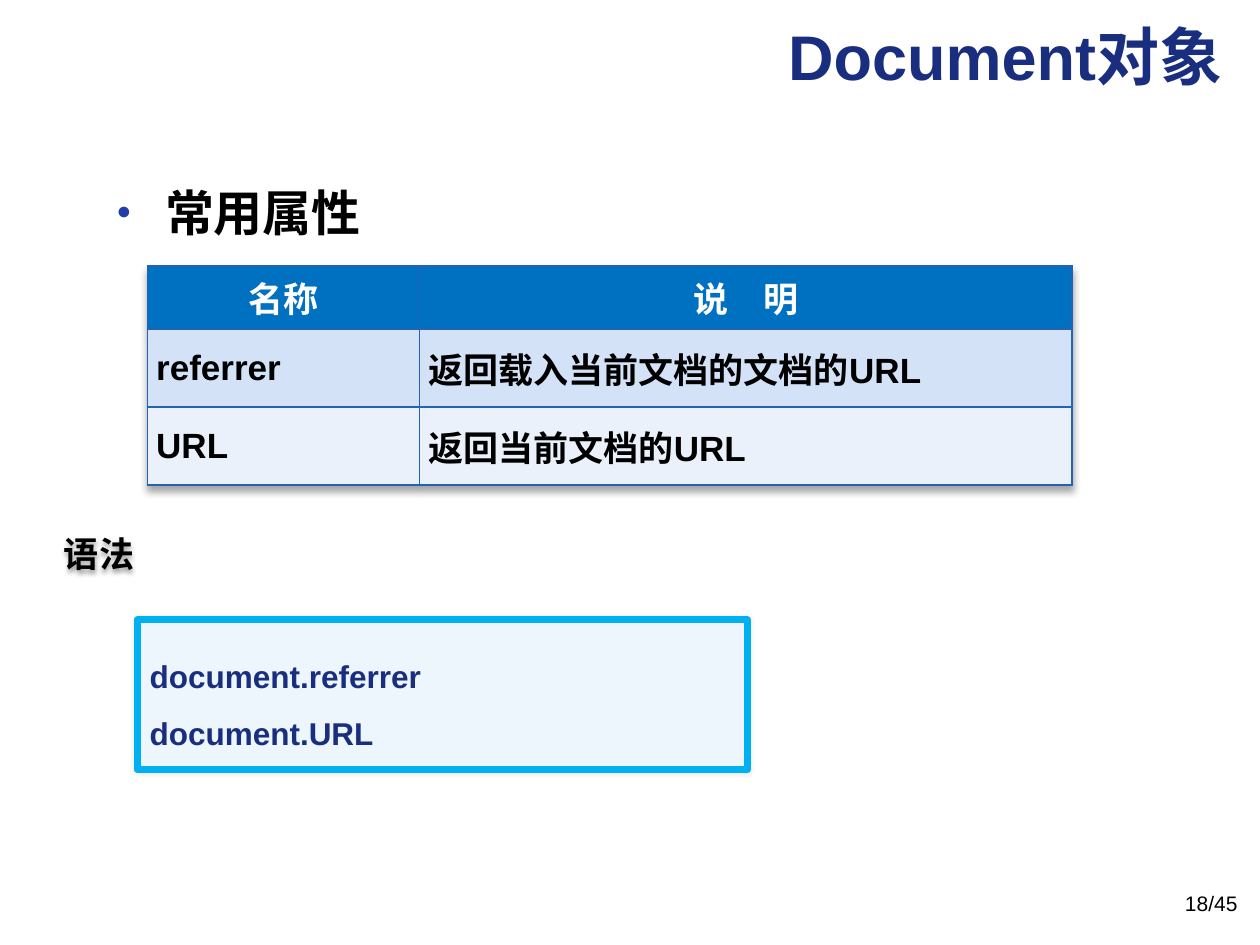
import dataclasses

import pptx
import pptx.dml.color
import pptx.enum.shapes
import pptx.enum.text
import pptx.oxml
import pptx.oxml.ns
import pptx.util

ALIGN = pptx.enum.text.PP_ALIGN
ANCHOR = pptx.enum.text.MSO_ANCHOR
COLUMNS, ROWS = 100, 75  # layout grid


@dataclasses.dataclass(frozen=True)
class Theme:
    latin: str = "Arial"
    asian: str = "Noto Sans CJK SC"
    navy: str = "1A2E7F"
    black: str = "000000"
    white: str = "FFFFFF"
    bullet: str = "233DA9"
    header: str = "0070C0"
    bands: tuple = ("D3E2F7", "EAF1FB")
    border: str = "2163B4"
    code_fill: str = "EDF5FD"
    code_line: str = "00B0F0"
    title_size: int = 36
    list_size: int = 28
    text_size: int = 20
    code_size: int = 18
    note_size: int = 12


def color(value):
    return pptx.dml.color.RGBColor.from_string(value)


def add_xml(parent, markup, index=None):
    """Add a DrawingML element, given without its namespace declaration."""
    head, rest = markup.split(" ", 1)
    element = pptx.oxml.parse_xml(f"{head} {pptx.oxml.ns.nsdecls('a')} {rest}")
    parent.insert(len(parent) if index is None else index, element)


def write(para, text, *, font, asian, size, ink, bold=True, align=None,
          spacing=None):
    """Put formatted text into a paragraph."""
    para.alignment = align
    para.line_spacing = spacing
    span = para.add_run()
    span.text = text
    span.font.name = font
    span.font.size = pptx.util.Pt(size)
    span.font.bold = bold
    span.font.color.rgb = color(ink)
    add_xml(span.font._element, f'<a:ea typeface="{asian}"/>')


class SlideBuilder:
    def __init__(self, theme):
        self.theme = theme
        self.deck = pptx.Presentation()
        self.deck.slide_width = pptx.util.Inches(10)
        self.deck.slide_height = pptx.util.Inches(7.5)
        self.page = self.deck.slides.add_slide(self.deck.slide_layouts[1])

    def area(self, left, top, width, height):
        across = self.deck.slide_width / COLUMNS
        down = self.deck.slide_height / ROWS
        return [pptx.util.Emu(round(value)) for value in
                (left * across, top * down, width * across, height * down)]

    def text(self, para, text, **style):
        write(para, text, **{"font": self.theme.latin, "asian": self.theme.asian,
                             "ink": self.theme.black, **style})

    def shadow(self, properties, *, blur, distance, opacity, index=None):
        add_xml(properties, f'<a:effectLst ><a:outerShdw blurRad="{pptx.util.Pt(blur)}" '
                f'dist="{pptx.util.Pt(distance)}" dir="5400000" algn="t" rotWithShape="0">'
                f'<a:srgbClr val="{self.theme.black}"><a:alpha val="{opacity * 1000}"/>'
                '</a:srgbClr></a:outerShdw></a:effectLst>', index)

    def placeholder(self, box, area):
        box.left, box.top, box.width, box.height = self.area(*area)
        frame = box.text_frame
        frame.auto_size = pptx.enum.text.MSO_AUTO_SIZE.NONE
        frame.vertical_anchor = ANCHOR.TOP
        return frame.paragraphs[0]

    def title(self, text, area):
        para = self.placeholder(self.page.shapes.title, area)
        self.text(para, text, size=self.theme.title_size, ink=self.theme.navy,
                  align=ALIGN.RIGHT)

    def bullet(self, text, area):
        para = self.placeholder(self.page.placeholders[1], area)
        self.text(para, text, size=self.theme.list_size)
        properties = para._p.get_or_add_pPr()
        indent = pptx.util.Inches(0.38)
        properties.set("marL", str(indent))
        properties.set("indent", str(-indent))
        add_xml(properties, f'<a:buClr ><a:srgbClr val="{self.theme.bullet}"/></a:buClr>')
        add_xml(properties, '<a:buSzPct val="80000"/>')
        add_xml(properties, '<a:buFont typeface="Arial"/>')
        add_xml(properties, '<a:buChar char="•"/>')

    def label(self, text, area, *, wrap=True, anchor=ANCHOR.TOP, **style):
        box = self.page.shapes.add_textbox(*self.area(*area))
        box.text_frame.word_wrap = wrap
        box.text_frame.vertical_anchor = anchor
        self.text(box.text_frame.paragraphs[0], text, **style)
        return box

    def cell(self, cell, text, *, fill, ink, align):
        cell.vertical_anchor = ANCHOR.MIDDLE
        cell.margin_left = cell.margin_right = pptx.util.Inches(0.07)
        cell.margin_top = cell.margin_bottom = 0
        for side in "LRTB":
            add_xml(cell._tc.get_or_add_tcPr(),
                    f'<a:ln{side} w="{pptx.util.Pt(1)}"><a:solidFill>'
                    f'<a:srgbClr val="{self.theme.border}"/></a:solidFill></a:ln{side}>')
        cell.fill.solid()
        cell.fill.fore_color.rgb = color(fill)
        self.text(cell.text_frame.paragraphs[0], text, size=self.theme.text_size,
                  ink=ink, align=align)

    def table(self, records, left, top, widths, heights):
        area = self.area(left, top, sum(widths), sum(heights))
        table = self.page.shapes.add_table(len(heights), len(widths), *area).table
        for column, width in zip(table.columns, widths):
            column.width = self.area(0, 0, width, 0)[2]
        for row, height in zip(table.rows, heights):
            row.height = self.area(0, 0, 0, height)[3]
        for number, record in enumerate(records):
            if number == 0:
                look = dict(fill=self.theme.header, ink=self.theme.white, align=ALIGN.CENTER)
            else:
                look = dict(fill=self.theme.bands[(number - 1) % 2],
                            ink=self.theme.black, align=ALIGN.LEFT)
            for cell, text in zip(table.rows[number].cells, record):
                self.cell(cell, text, **look)
        self.shadow(table._tbl.tblPr, blur=4, distance=3, opacity=35, index=0)

    def code(self, lines, area):
        box = self.page.shapes.add_shape(
            pptx.enum.shapes.MSO_SHAPE.ROUNDED_RECTANGLE, *self.area(*area))
        box.adjustments[0] = 0
        box.fill.solid()
        box.fill.fore_color.rgb = color(self.theme.code_fill)
        box.line.color.rgb = color(self.theme.code_line)
        box.line.width = pptx.util.Pt(4)
        add_xml(box.line._get_or_add_ln(), "<a:round />")
        self.shadow(box._element.spPr, blur=3, distance=0, opacity=10)
        frame = box.text_frame
        frame.word_wrap = True
        frame.vertical_anchor = ANCHOR.MIDDLE
        for number, line in enumerate(lines):
            para = frame.add_paragraph() if number else frame.paragraphs[0]
            self.text(para, line, size=self.theme.code_size, ink=self.theme.navy,
                      align=ALIGN.LEFT, spacing=1.5)


def main():
    theme = Theme()
    slide = SlideBuilder(theme)

    # Heading and topic
    slide.title("Document对象", (8, 0.9, 90, 9.8))
    slide.bullet("常用属性", (8.3, 14, 86.7, 11))

    # Property table
    slide.table([("名称", "说　明"),
                 ("referrer", "返回载入当前文档的文档的URL"),
                 ("URL", "返回当前文档的URL")],
                11.7, 21.1, widths=(21.6, 51.8), heights=(5, 6.2, 6.2))

    # Syntax
    syntax = slide.label("语法", (4.1, 41.7, 7.7, 4.4), wrap=False, anchor=ANCHOR.MIDDLE,
                         font=theme.asian, size=theme.text_size)
    slide.shadow(syntax._element.spPr, blur=3, distance=2, opacity=40)
    slide.code(["document.referrer", "document.URL"], (10.9, 49.2, 48.4, 11.9))

    # Page number
    slide.label("18/45", (75.9, 70.2, 23.3, 4), size=theme.note_size, bold=False,
                align=ALIGN.RIGHT)

    slide.deck.save("out.pptx")


if __name__ == "__main__":
    main()
